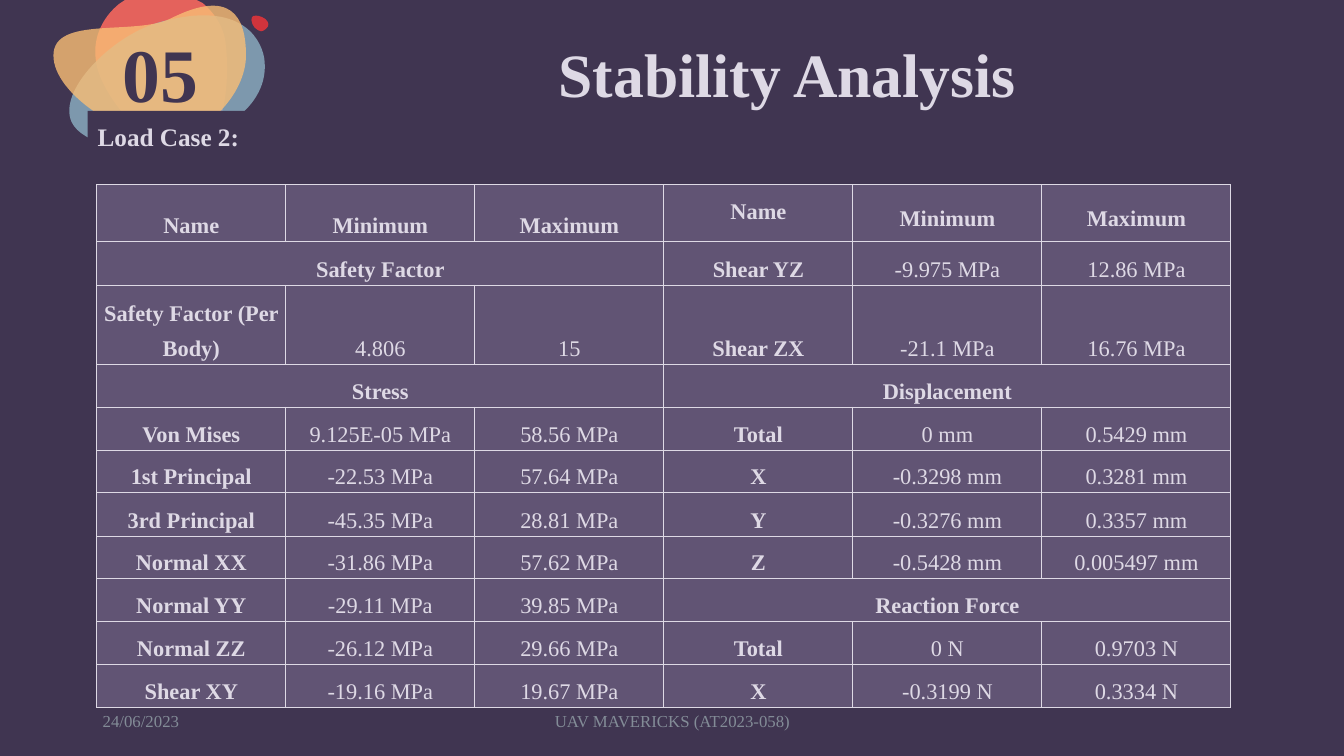
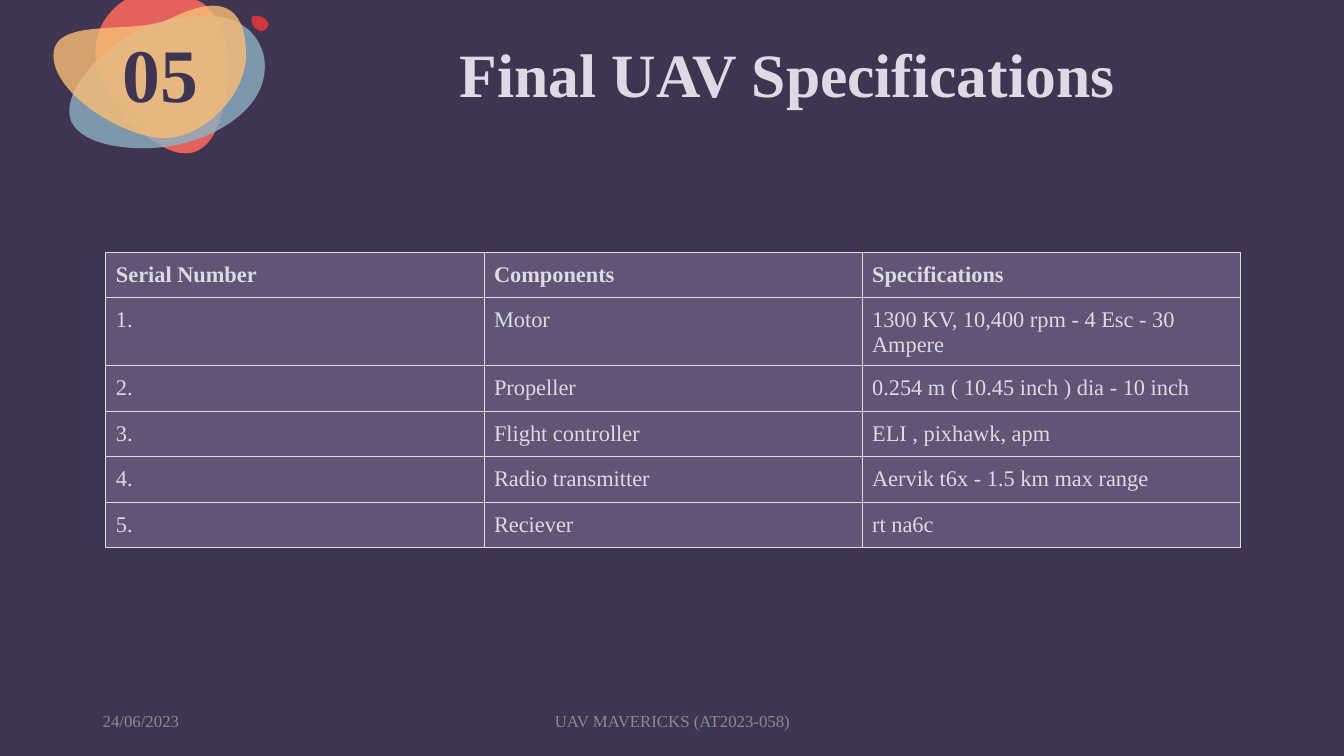
import pptx
import pptx.dml.color
import pptx.enum.shapes
import pptx.enum.text
import pptx.oxml
import pptx.oxml.ns
import pptx.util
from lxml import etree

Inches, Pt = pptx.util.Inches, pptx.util.Pt
ALIGN, ANCHOR = pptx.enum.text.PP_ALIGN, pptx.enum.text.MSO_ANCHOR
qn = pptx.oxml.ns.qn

COLORS = {"night": "403551", "cell": "615474", "pale": "DED9E5", "grey": "838C97",
          "coral": "E4625C", "blue": "8DB1C4", "amber": "F9BE75", "red": "D0343C"}
FONT = "Times New Roman"

# Content
DATE, TEAM, SECTION = "24/06/2023", "UAV MAVERICKS (AT2023-058)", "05"
STABILITY_TITLE, LOAD_CASE = "Stability Analysis", "Load Case 2:"
SPECS_TITLE = "Final UAV Specifications"

# Left and right half of the load case table; a single entry is a section heading
HEADINGS = ("Name", "Minimum", "Maximum")
STRESS_HALF = [
    HEADINGS,
    ("Safety Factor",),
    ("Safety Factor (Per Body)", "4.806", "15"),
    ("Stress",),
    ("Von Mises", "9.125E-05 MPa", "58.56 MPa"),
    ("1st Principal", "-22.53 MPa", "57.64 MPa"),
    ("3rd Principal", "-45.35 MPa", "28.81 MPa"),
    ("Normal XX", "-31.86 MPa", "57.62 MPa"),
    ("Normal YY", "-29.11 MPa", "39.85 MPa"),
    ("Normal ZZ", "-26.12 MPa", "29.66 MPa"),
    ("Shear XY", "-19.16 MPa", "19.67 MPa"),
]
MOTION_HALF = [
    HEADINGS,
    ("Shear YZ", "-9.975 MPa", "12.86 MPa"),
    ("Shear ZX", "-21.1 MPa", "16.76 MPa"),
    ("Displacement",),
    ("Total", "0 mm", "0.5429 mm"),
    ("X", "-0.3298 mm", "0.3281 mm"),
    ("Y", "-0.3276 mm", "0.3357 mm"),
    ("Z", "-0.5428 mm", "0.005497 mm"),
    ("Reaction Force",),
    ("Total", "0 N", "0.9703 N"),
    ("X", "-0.3199 N", "0.3334 N"),
]
COMPONENTS = [
    ("Serial Number", "Components", "Specifications"),
    ("1.", "Motor", "1300 KV, 10,400 rpm - 4 Esc - 30 Ampere"),
    ("2.", "Propeller", "0.254 m ( 10.45 inch ) dia - 10 inch"),
    ("3.", "Flight controller", "ELI , pixhawk, apm"),
    ("4.", "Radio transmitter", "Aervik t6x - 1.5 km max range"),
    ("5.", "Reciever", "rt na6c"),
]
STRESS_HEIGHTS = [0.57, 0.43, 0.79] + [0.42, 0.43] * 4
COMPONENT_HEIGHTS = [0.45, 0.68] + [0.45] * 4

# Blobs: colour, opacity in percent, start, then segments of one (line)
# or three (Bezier) points
BLOBS = [
    ("coral", 100, (1.24, 0), [
        [(1.95, 0)], [(2.01, 0.03)],
        [(2.14, 0.14), (2.23, 0.29), (2.24, 0.46)],
        [(2.28, 0.81), (2.23, 1.48), (1.87, 1.52)],
        [(1.51, 1.55), (0.98, 0.94), (0.95, 0.59)],
        [(0.92, 0.37), (1.02, 0.17), (1.18, 0.04)]]),
    ("blue", 80, (0.71, 1.21), [
        [(0.82, 1.44), (1.29, 1.51), (1.69, 1.45)],
        [(2.08, 1.39), (2.7, 1.09), (2.62, 0.57)],
        [(2.58, 0.36), (2.36, -0.01), (1.55, 0.23)],
        [(1.1, 0.37), (0.57, 0.9), (0.71, 1.21)]]),
    ("amber", 80, (0.53, 0.55), [
        [(0.53, 0.94), (1.24, 1.37), (1.63, 1.37)],
        [(2.02, 1.37), (2.44, 0.94), (2.44, 0.55)],
        [(2.44, 0.15), (2.28, -0.11), (1.7, 0.18)],
        [(1.35, 0.36), (0.53, 0.15), (0.53, 0.55)]]),
    ("red", 100, (2.5, 0.17), [
        [(2.48, 0.2), (2.51, 0.28), (2.56, 0.3)],
        [(2.6, 0.33), (2.64, 0.29), (2.66, 0.26)],
        [(2.67, 0.23), (2.65, 0.19), (2.6, 0.17)],
        [(2.56, 0.15), (2.51, 0.15), (2.5, 0.17)]]),
]
DARK_DROP = ("night", 100, (1.21, 1.74), [
    [(1.23, 1.7), (1.19, 1.58), (1.13, 1.54)],
    [(1.07, 1.51), (1, 1.58), (0.98, 1.62)],
    [(0.96, 1.66), (0.99, 1.72), (1.05, 1.76)],
    [(1.11, 1.79), (1.18, 1.78), (1.21, 1.74)]])

# Text styles
TITLE = {"size": Pt(44), "bold": True}
NUMBER = {"size": Pt(54), "bold": True}
FOOTER = {"size": Pt(12), "bold": False}
CASE = {"size": Pt(18), "bold": True}


def rgb(color):
    return pptx.dml.color.RGBColor.from_string(COLORS[color])


def paint(shape, color, opacity=100):
    shape.shadow.inherit = False
    shape.fill.solid()
    shape.fill.fore_color.rgb = rgb(color)
    shape.line.fill.background()
    if opacity < 100:
        tone = next(shape.element.spPr.iter(qn("a:srgbClr")))
        etree.SubElement(tone, qn("a:alpha")).set("val", str(opacity * 1000))


def write(frame, text, style, color="pale", align=ALIGN.LEFT, spacing=None):
    paragraph = frame.paragraphs[0]
    paragraph.alignment, paragraph.line_spacing = align, spacing
    run = paragraph.add_run()
    run.text = text
    for attribute, value in {"name": FONT, **style}.items():
        setattr(run.font, attribute, value)
    run.font.color.rgb = rgb(color)


def add_text(slide, box, text, style, **layout):
    frame = slide.shapes.add_textbox(*map(Inches, box)).text_frame
    frame.word_wrap = True
    frame.vertical_anchor = ANCHOR.MIDDLE
    write(frame, text, style, **layout)


def add_blob(slide, color, opacity, start, segments):
    """Freeform through the segment ends, with its lines bent into curves."""
    builder = slide.shapes.build_freeform(*map(Inches, start))
    builder.add_line_segments([tuple(map(Inches, segment[-1])) for segment in segments],
                              close=True)
    blob = builder.convert_to_shape()
    for line, segment in zip(list(blob.element.iter(qn("a:lnTo"))), segments):
        if len(segment) == 3:
            curve = etree.Element(qn("a:cubicBezTo"))
            for x, y in segment:
                etree.SubElement(curve, qn("a:pt"), x=str(Inches(x) - blob.left),
                                 y=str(Inches(y) - blob.top))
            line.getparent().replace(line, curve)
    paint(blob, color, opacity)


def add_frame(prs, title):
    """New slide with blobs, section number, title and footers."""
    slide = prs.slides.add_slide(prs.slide_layouts[6])
    for blob in BLOBS:
        add_blob(slide, *blob)
    centred = {"align": ALIGN.CENTER, "spacing": 0.9}
    add_text(slide, (3.2, 0.15, 9.22, 1.24), title, TITLE, **centred)
    add_text(slide, (0.96, 0.15, 1.27, 1.24), SECTION, NUMBER, color="night", **centred)
    add_text(slide, (0.92, 6.95, 3, 0.4), DATE, FOOTER, color="grey")
    add_text(slide, (4.42, 6.95, 4.5, 0.4), TEAM, FOOTER, color="grey", align=ALIGN.CENTER)
    return slide


def add_grid(slide, left, top, columns, row_heights):
    """Table of equal columns, filled and ruled."""
    width = 11.25
    table = slide.shapes.add_table(len(row_heights), columns, Inches(left), Inches(top),
                                   Inches(width), Inches(sum(row_heights))).table
    table.first_row = table.horz_banding = False
    for column in table.columns:
        column.width = Inches(width / columns)
    for row, height in zip(table.rows, row_heights):
        row.height = Inches(height)
    for cell in table.iter_cells():
        cell.fill.solid()
        cell.fill.fore_color.rgb = rgb("cell")
        for position, side in enumerate(("lnL", "lnR", "lnT", "lnB")):
            border = pptx.oxml.parse_xml(
                f'<a:{side} {pptx.oxml.ns.nsdecls("a")} w="{Pt(0.75)}"><a:solidFill>'
                f'<a:srgbClr val="{COLORS["pale"]}"/></a:solidFill></a:{side}>')
            cell._tc.get_or_add_tcPr().insert(position, border)
    return table


def fill_cell(cell, text, bold, margins, anchor=ANCHOR.TOP, **layout):
    """Margins are given as sides, top, bottom."""
    sides, top, bottom = map(Inches, margins)
    cell.margin_left = cell.margin_right = sides
    cell.margin_top, cell.margin_bottom = top, bottom
    cell.vertical_anchor = anchor
    write(cell.text_frame, text, {"size": Pt(16), "bold": bold}, **layout)


def build_stability(prs):
    slide = add_frame(prs, STABILITY_TITLE)

    # Load case band over the lower part of the blobs
    band = slide.shapes.add_shape(pptx.enum.shapes.MSO_SHAPE.RECTANGLE,
                                  *map(Inches, (0.87, 1.1, 2.72, 0.71)))
    paint(band, "night")
    frame = band.text_frame
    frame.word_wrap = True
    frame.vertical_anchor = ANCHOR.TOP
    for side in ("left", "right", "top", "bottom"):
        setattr(frame, f"margin_{side}", Inches(0.1))
    write(frame, LOAD_CASE, CASE, align=ALIGN.JUSTIFY)

    # Results, two halves side by side
    grid = add_grid(slide, 0.96, 1.83, 6, STRESS_HEIGHTS)
    for first, half in ((0, STRESS_HALF), (3, MOTION_HALF)):
        for row, entries in enumerate(half):
            if len(entries) == 1:
                grid.cell(row, first).merge(grid.cell(row, first + 2))
            for offset, text in enumerate(entries):
                raised = row == 0 and first == 3
                fill_cell(grid.cell(row, first + offset), text,
                          bold=row == 0 or offset == 0,
                          margins=((0.1, 0.1, 0.05) if raised and offset
                                   else (0.03, 0.03 if raised else 0, 0.03)),
                          anchor=ANCHOR.TOP if raised else ANCHOR.BOTTOM,
                          align=ALIGN.CENTER, spacing=1.5 if row == 0 else 1.42)


def build_specifications(prs):
    slide = add_frame(prs, SPECS_TITLE)
    add_blob(slide, *DARK_DROP)
    grid = add_grid(slide, 1.05, 2.5, 3, COMPONENT_HEIGHTS)
    for row, entries in enumerate(COMPONENTS):
        for column, text in enumerate(entries):
            fill_cell(grid.cell(row, column), text, bold=row == 0, margins=(0.1, 0.1, 0.04))


def main():
    prs = pptx.Presentation()
    prs.slide_width, prs.slide_height = Inches(13.33), Inches(7.5)
    background = prs.slide_master.background.fill
    background.solid()
    background.fore_color.rgb = rgb("night")
    build_stability(prs)
    build_specifications(prs)
    prs.save("out.pptx")


if __name__ == "__main__":
    main()
